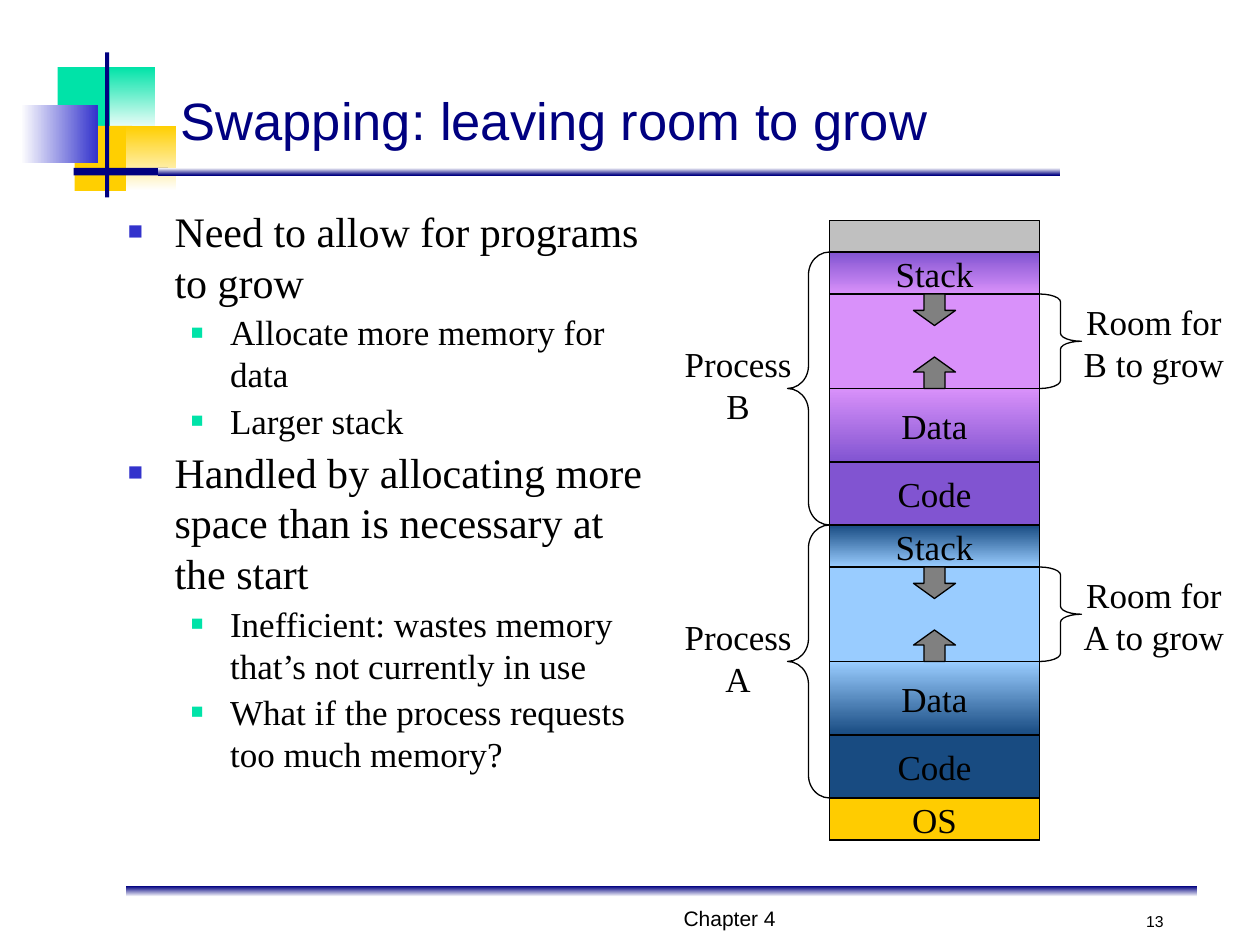
from lxml.etree import SubElement
from pptx import Presentation
from pptx.dml.color import RGBColor
from pptx.enum.shapes import MSO_SHAPE
from pptx.enum.text import MSO_ANCHOR, MSO_AUTO_SIZE, PP_ALIGN
from pptx.oxml.ns import qn
from pptx.util import Cm, Pt

STEP = 25.4 / 120
NAVY, GREEN, YELLOW, BLUE = "000080", "00E3A8", "FFCF01", "3333CC"
WHITE, BLACK = "FFFFFF", "000000"
SERIF, SANS = "Times New Roman", "Arial"
COLUMN_LEFT, COLUMN_WIDTH = 79, 20

POINTS = [
    (0, "Need to allow for programs to grow"),
    (1, "Allocate more memory for data"),
    (1, "Larger stack"),
    (0, "Handled by allocating more space than is necessary at the start"),
    (1, "Inefficient: wastes memory that’s not currently in use"),
    (1, "What if the process requests too much memory?"),
]
LEVELS = [
    {"size": 24, "before": 3, "margin": 0.94, "hang": 0.94, "bullet": BLUE},
    {"size": 20, "before": 2.5, "margin": 2.06, "hang": 0.79, "bullet": GREEN},
]
PROCESSES = [("A", 50, "99CCFF", "184B81"), ("B", 24, "D991FA", "8154D1")]


def color(value):
    return RGBColor.from_string(value)


def grid(*steps):
    return [Cm(step * STEP) for step in steps]


class SlideBuilder:
    def __init__(self, slide):
        self.slide = slide

    def add_words(self, paragraph, text, size, font=SERIF, ink=BLACK):
        run = paragraph.add_run()
        run.text = text
        run.font.size = Pt(size)
        run.font.name = font
        run.font.color.rgb = color(ink)

    def shape(self, kind, box, fill=None, outlined=True, adjustments=()):
        shape = self.slide.shapes.add_shape(kind, *grid(*box))
        shape.shadow.inherit = False
        for index, value in enumerate(adjustments):
            shape.adjustments[index] = value
        if fill is None:
            shape.fill.background()
        else:
            shape.fill.solid()
            shape.fill.fore_color.rgb = color(fill)
        if outlined:
            shape.line.color.rgb = color(BLACK)
            shape.line.width = Pt(0.75)
        else:
            shape.line.fill.background()
        return shape

    def fade(self, shape, start, end, angle=270):
        shape.fill.gradient()
        shape.fill.gradient_angle = angle
        for stop, value in zip(shape.fill.gradient_stops, (start, end)):
            stop.color.rgb = color(value)

    def decoration(self, box, start, end=None, angle=270):
        shape = self.shape(MSO_SHAPE.RECTANGLE, box, start, outlined=False)
        if end:
            self.fade(shape, start, end, angle)

    def segment(self, top, height, fill, label=None, end=None):
        box = (COLUMN_LEFT, top, COLUMN_WIDTH, height)
        shape = self.shape(MSO_SHAPE.RECTANGLE, box, fill)
        if end:
            self.fade(shape, fill, end)
        if label:
            frame = shape.text_frame
            frame.word_wrap = False
            frame.vertical_anchor = MSO_ANCHOR.MIDDLE
            frame.paragraphs[0].alignment = PP_ALIGN.CENTER
            self.add_words(frame.paragraphs[0], label, 20)

    def text(self, box, lines, size=20, font=SERIF, align=PP_ALIGN.CENTER,
             anchor=MSO_ANCHOR.TOP, wrap=False):
        frame = self.slide.shapes.add_textbox(*grid(*box)).text_frame
        frame.word_wrap = wrap
        frame.vertical_anchor = anchor
        for index, line in enumerate(lines):
            paragraph = frame.add_paragraph() if index else frame.paragraphs[0]
            paragraph.alignment = align
            self.add_words(paragraph, line, size, font)

    def title(self, box, text):
        title = self.slide.shapes.title
        title.left, title.top, title.width, title.height = grid(*box)
        frame = title.text_frame
        frame.auto_size = MSO_AUTO_SIZE.NONE
        frame.word_wrap = True
        frame.vertical_anchor = MSO_ANCHOR.BOTTOM
        frame.paragraphs[0].alignment = PP_ALIGN.LEFT
        self.add_words(frame.paragraphs[0], text, 30, SANS, NAVY)

    def bullets(self, box, points):
        frame = self.slide.shapes.add_textbox(*grid(*box)).text_frame
        frame.word_wrap = True
        for index, (depth, text) in enumerate(points):
            level = LEVELS[depth]
            paragraph = frame.add_paragraph() if index else frame.paragraphs[0]
            paragraph.level = depth
            paragraph.space_before = Pt(level["before"])
            properties = paragraph._p.get_or_add_pPr()
            properties.set("marL", str(Cm(level["margin"])))
            properties.set("indent", str(-Cm(level["hang"])))
            tint = SubElement(properties, qn("a:buClr"))
            SubElement(tint, qn("a:srgbClr"), val=level["bullet"])
            SubElement(properties, qn("a:buSzPct"), val="60000")
            SubElement(properties, qn("a:buFont"), typeface=SANS)
            SubElement(properties, qn("a:buChar"), char="■")
            self.add_words(paragraph, text, level["size"])

    def process(self, name, top, light, dark):
        room, data, code, bottom = top + 4, top + 13, top + 20, top + 26
        right = COLUMN_LEFT + COLUMN_WIDTH
        self.segment(top, bottom - top, light)
        self.segment(code, bottom - code, dark, "Code")
        self.segment(data, code - data, light, "Data", dark)
        self.segment(top, room - top, dark, "Stack", light)
        for kind, arrow_top in ((MSO_SHAPE.UP_ARROW, data - 3),
                                (MSO_SHAPE.DOWN_ARROW, room)):
            self.shape(kind, (87, arrow_top, 4, 3), "808080",
                       adjustments=(0.5, 0.48))
        self.shape(MSO_SHAPE.LEFT_BRACE,
                   (COLUMN_LEFT - 4, top, 4, bottom - top),
                   adjustments=(0.54, 0.5))
        self.shape(MSO_SHAPE.RIGHT_BRACE, (right, room, 4, data - room),
                   adjustments=(0.19, 0.5))
        self.text((64, top + 8, 12.6, 9.2), ["Process", name])
        self.text((102, room, 15.8, 9.2), ["Room for", f"{name} to grow"])


def main():
    deck = Presentation()
    deck.slide_width, deck.slide_height = Cm(25.4), Cm(19.05)
    builder = SlideBuilder(deck.slides.add_slide(deck.slide_layouts[5]))

    builder.decoration((12, 84.4, 102, 1), NAVY, WHITE)
    builder.decoration((5.5, 6.4, 5.8, 6.2), GREEN)
    builder.decoration((10.5, 6.4, 4.3, 6.2), GREEN, WHITE)
    builder.decoration((7.1, 12, 5.5, 6.2), YELLOW)
    builder.decoration((12, 12, 4.8, 6.2), YELLOW, WHITE)
    builder.decoration((2, 10, 7.3, 5.5), WHITE, BLUE, angle=0)
    builder.decoration((10, 5, 0.4, 13.8), NAVY)
    builder.decoration((7, 16, 9, 0.7), NAVY)
    builder.decoration((15, 16, 86, 0.7), WHITE, NAVY)

    builder.title((16, 7, 102, 8), "Swapping: leaving room to grow")
    builder.bullets((11, 19, 52.2, 65), POINTS)

    builder.segment(21, 59, "C0C0C0")
    builder.segment(76, 4, "FFCC00", "OS")
    for process in PROCESSES:
        builder.process(*process)

    builder.text((34, 86, 71, 3.2), ["Chapter 4"], 12, SANS,
                 anchor=MSO_ANCHOR.BOTTOM, wrap=True)
    builder.text((107, 86, 5, 3.2), ["13"], 9, SANS, PP_ALIGN.RIGHT,
                 MSO_ANCHOR.BOTTOM, True)
    deck.save("out.pptx")


if __name__ == "__main__":
    main()
